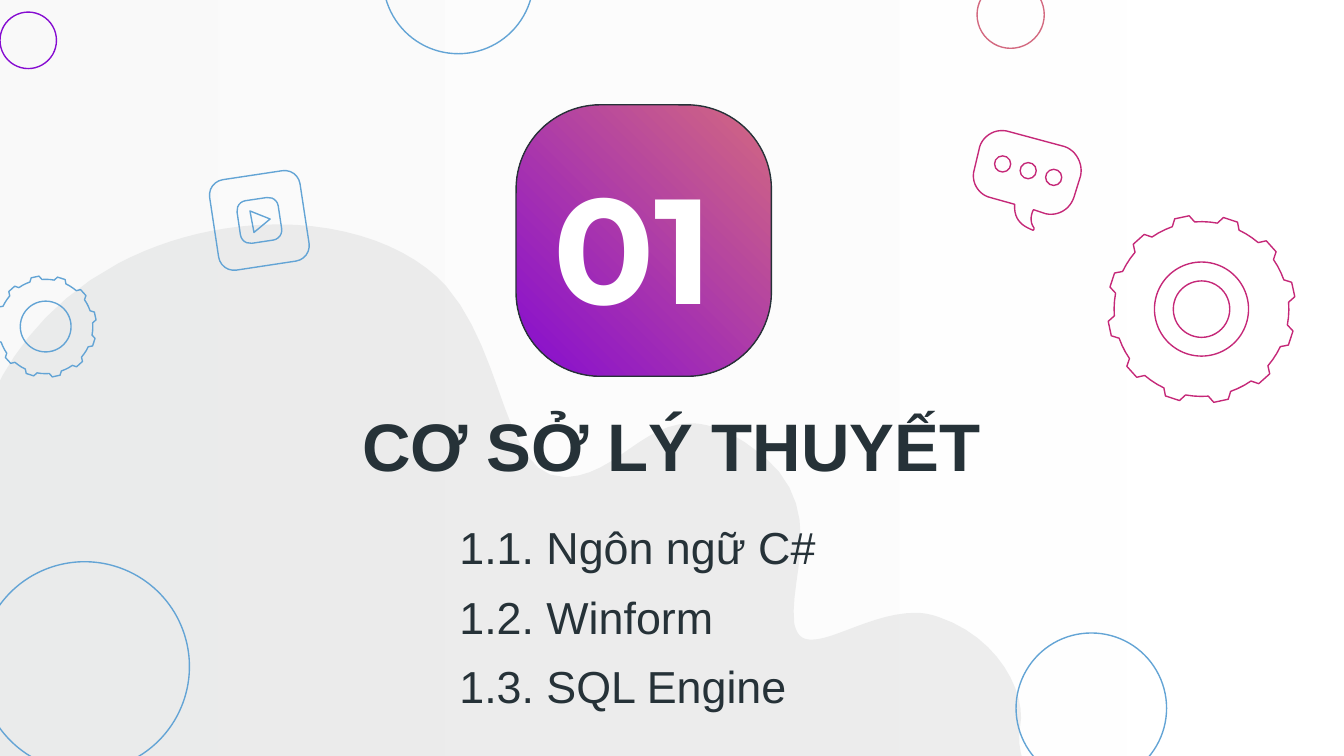
from dataclasses import dataclass
from math import cos, radians, sin

from lxml import etree
from pptx import Presentation
from pptx.dml.color import RGBColor
from pptx.enum.shapes import MSO_SHAPE
from pptx.enum.text import MSO_ANCHOR, PP_ALIGN
from pptx.oxml.ns import qn
from pptx.util import Inches, Pt

RECT = MSO_SHAPE.RECTANGLE
ROUND = MSO_SHAPE.ROUNDED_RECTANGLE
OVAL = MSO_SHAPE.OVAL
MIDDLE = MSO_ANCHOR.MIDDLE
LEFT = PP_ALIGN.LEFT
CENTER = PP_ALIGN.CENTER

WHITE = RGBColor(0xFF, 0xFF, 0xFF)
PALE = RGBColor(0xF3, 0xF3, 0xF3)
GRAY = RGBColor(0xD6, 0xD7, 0xD7)
INK = RGBColor(0x26, 0x32, 0x38)
BLUE = RGBColor(0x63, 0xA4, 0xD5)
VIOLET = RGBColor(0x86, 0x0C, 0xD1)
CORAL = RGBColor(0xD3, 0x69, 0x80)
PINK = RGBColor(0xC5, 0x28, 0x78)

WIDTH = 10
HEIGHT = WIDTH * 9 / 16
BLEED = 0.07
ALPHA = 41
TEETH = 12
STEPS = 12


@dataclass
class Ring:
    x: float
    y: float
    r: float
    color: RGBColor


@dataclass
class Gear:
    x: float
    y: float
    size: float
    color: RGBColor


@dataclass
class Tile:
    x: float
    y: float
    w: float
    h: float
    bend: float
    color: RGBColor
    turn: float = 0


@dataclass
class Label:
    box: tuple
    lines: list
    font: str
    size: int
    color: RGBColor
    bold: bool
    align: PP_ALIGN
    space: float = 1


RINGS = [
    Ring(8.12, 5.27, 0.56, BLUE),
    Ring(0.21, 0.3, 0.21, VIOLET),
    Ring(7.52, 0.11, 0.25, CORAL),
    Ring(3.41, -0.16, 0.56, BLUE),
    Ring(0.63, 4.96, 0.78, BLUE),
    Ring(8.94, 2.3, 0.21, PINK),
]
GEARS = [Gear(0.34, 2.43, 0.54, BLUE), Gear(8.94, 2.3, 1, PINK)]
TILES = [
    Tile(1.93, 1.64, 0.68, 0.68, 0.17, BLUE, -8.6),
    Tile(1.93, 1.64, 0.31, 0.32, 0.24, BLUE, -8.6),
]
DOTS = [Ring(7.46 + 0.19 * i, 1.22 + 0.05 * i, 0.06, PINK) for i in range(3)]
PLAY = [(1.86, 1.57), (1.89, 1.73), (2.01, 1.63)]
BLOB = [
    (2.07, 1.67), (2.59, 1.67, 3.06, 1.84, 3.32, 2.13),
    (3.77, 2.65, 3.74, 3.55, 4.2, 3.55), (4.21, 3.55, 4.21, 3.55, 4.22, 3.55),
    (4.58, 3.53, 4.78, 3.15, 5.14, 3.15), (5.25, 3.15, 5.38, 3.19, 5.54, 3.29),
    (6.21, 3.71, 5.86, 4.28, 5.91, 4.64), (5.93, 4.73, 5.97, 4.76, 6.04, 4.76),
    (6.21, 4.76, 6.51, 4.56, 6.81, 4.56), (6.87, 4.56, 6.92, 4.57, 6.98, 4.59),
    (7.43, 4.74, 7.64, 5.16, 7.59, 5.41), (7.54, 5.66, 7.76, 5.97, 7.76, 5.97),
    (-0.25, 5.97), (-0.25, 5.97, -0.37, 4.35, -0.17, 3.27),
    (-0.17, 3.27, -0.01, 2.43, 0.88, 1.96), (1.26, 1.76, 1.68, 1.67, 2.07, 1.67),
]
BUBBLE = [
    (7.37, 1.47), (7.55, 1.52), (7.54, 1.65, 7.63, 1.69, 7.68, 1.71),
    (7.69, 1.72, 7.7, 1.7, 7.69, 1.69), (7.65, 1.63, 7.69, 1.56, 7.69, 1.56),
    (7.78, 1.59), (7.87, 1.61, 7.96, 1.56, 7.99, 1.47),
    (8.04, 1.31), (8.06, 1.22, 8.01, 1.12, 7.92, 1.09),
    (7.51, 0.98), (7.42, 0.95, 7.32, 1, 7.29, 1.09),
    (7.25, 1.26), (7.22, 1.35, 7.28, 1.45, 7.37, 1.47),
]
LABELS = [
    Label((1.25, 2.85, 7.49, 0.92), ["CƠ SỞ LÝ THUYẾT"], "Arial", 36, INK, True, CENTER),
    Label((3.43, 1.01, 2.56, 1.62), ["01"], "Montserrat", 80, WHITE, True, CENTER),
    Label((3.32, 3.77, 3.84, 1.51), ["1.1. Ngôn ngữ C#", "1.2. Winform", "1.3. SQL Engine"],
          "Arial", 24, INK, False, LEFT, 1.3),
]


def outline(shape, color: RGBColor) -> None:
    shape.shadow.inherit = False
    shape.fill.background()
    shape.line.color.rgb = color
    shape.line.width = Pt(0.75)


def blend(shape, first: RGBColor, last: RGBColor, angle: float) -> None:
    shape.fill.gradient()
    shape.fill.gradient_angle = angle
    for stop, color, place in zip(shape.fill.gradient_stops, (first, last), (0, 1)):
        stop.color.rgb = color
        stop.position = place


def fade(shape) -> None:
    shape.shadow.inherit = False
    shape.line.fill.background()
    for tone in shape.element.spPr.iter(qn("a:srgbClr")):
        etree.SubElement(tone, qn("a:alpha")).set("val", str(ALPHA * 1000))


def flatten(path: list) -> list:
    spots = []
    for part in path:
        if len(part) == 2:
            spots.append(part)
            continue
        a, b, c, d = spots[-1], part[:2], part[2:4], part[4:]
        for i in range(1, STEPS + 1):
            t = i / STEPS
            u = 1 - t
            spots.append(tuple(
                u**3 * a[k] + 3 * u * u * t * b[k] + 3 * u * t * t * c[k] + t**3 * d[k]
                for k in (0, 1)))
    return spots


def trace(shapes, path: list):
    spots = [(Inches(x), Inches(y)) for x, y in flatten(path)]
    pen = shapes.build_freeform(*spots[0])
    pen.add_line_segments(spots[1:], close=True)
    return pen.convert_to_shape()


def draw_ring(shapes, ring: Ring) -> None:
    side = Inches(2 * ring.r)
    shape = shapes.add_shape(OVAL, Inches(ring.x - ring.r), Inches(ring.y - ring.r), side, side)
    outline(shape, ring.color)


def draw_gear(shapes, gear: Gear) -> None:
    tooth = [(0, 0.65), (3, 0.7), (12, 0.7), (15, 0.65), (20, 0.65), (25, 0.65)]
    path = []
    for i in range(TEETH):
        for turn, r in tooth:
            angle = radians(4.5 + turn + 360 / TEETH * i)
            path.append((gear.x + gear.size * r * cos(angle), gear.y - gear.size * r * sin(angle)))
    outline(trace(shapes, path), gear.color)
    draw_ring(shapes, Ring(gear.x, gear.y, 0.35 * gear.size, gear.color))


def draw_tile(shapes, tile: Tile):
    shape = shapes.add_shape(ROUND, Inches(tile.x - tile.w / 2), Inches(tile.y - tile.h / 2),
                             Inches(tile.w), Inches(tile.h))
    shape.adjustments[0] = tile.bend
    shape.rotation = tile.turn
    outline(shape, tile.color)
    return shape


def draw_label(shapes, label: Label) -> None:
    frame = shapes.add_textbox(*map(Inches, label.box)).text_frame
    frame.word_wrap = True
    frame.vertical_anchor = MIDDLE
    frame.margin_left = frame.margin_right = Inches(0.1)
    frame.margin_top = frame.margin_bottom = Inches(0.1)
    for i, line in enumerate(label.lines):
        para = frame.add_paragraph() if i else frame.paragraphs[0]
        para.alignment = label.align
        para.line_spacing = label.space
        run = para.add_run()
        run.text = line
        run.font.name = label.font
        run.font.size = Pt(label.size)
        run.font.bold = label.bold
        run.font.color.rgb = label.color


def main() -> None:
    deck = Presentation()
    deck.slide_width, deck.slide_height = Inches(WIDTH), Inches(HEIGHT)
    shapes = deck.slides.add_slide(deck.slide_layouts[6]).shapes
    base = shapes.add_shape(RECT, Inches(-BLEED), Inches(-BLEED),
                            Inches(WIDTH + 2 * BLEED), Inches(HEIGHT + 2 * BLEED))
    blend(base, WHITE, PALE, 180)
    fade(base)
    blob = trace(shapes, BLOB)
    blob.fill.solid()
    blob.fill.fore_color.rgb = GRAY
    fade(blob)
    for ring in RINGS + DOTS:
        draw_ring(shapes, ring)
    for gear in GEARS:
        draw_gear(shapes, gear)
    badge = draw_tile(shapes, Tile(4.79, 1.79, 1.9, 2.02, 0.33, INK))
    blend(badge, CORAL, VIOLET, 225)
    for label in LABELS:
        draw_label(shapes, label)
    for tile in TILES:
        draw_tile(shapes, tile)
    outline(trace(shapes, PLAY), BLUE)
    outline(trace(shapes, BUBBLE), PINK)
    deck.save("out.pptx")


if __name__ == "__main__":
    main()
